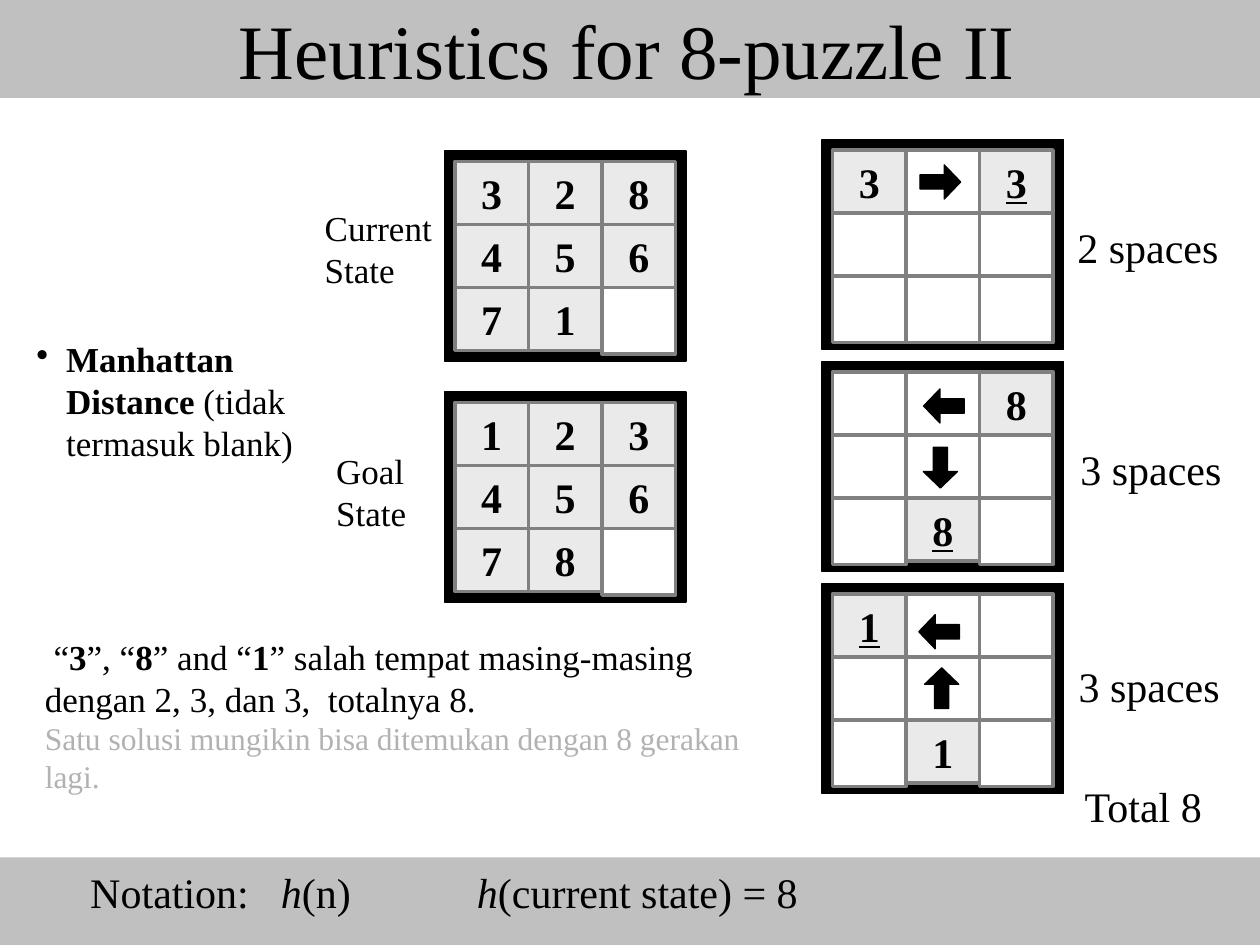
from lxml import etree
from pptx import Presentation
from pptx import util as u
from pptx.dml.color import RGBColor
from pptx.enum import shapes, text
from pptx.oxml import ns

BLACK = RGBColor(0x00, 0x00, 0x00)
WHITE = RGBColor(0xFF, 0xFF, 0xFF)
BAND_GREY = RGBColor(0xC0, 0xC0, 0xC0)
TILE_GREY = RGBColor(0xEA, 0xEA, 0xEA)
EDGE_GREY = RGBColor(0x80, 0x80, 0x80)
FADED_GREY = RGBColor(0xB2, 0xB2, 0xB2)

FONT = "Times New Roman"
BOARD_WIDTH, BOARD_HEIGHT, BOARD_RIM = 138, 120, 6
TILE_WIDTH, TILE_HEIGHT, BLANK_HEIGHT = 42, 36, 38


def add_filled(parent, kind, box, fill, edge=None, edge_width=0.75):
    shape = parent.add_shape(kind, *map(u.Pt, box))
    shape.shadow.inherit = False
    shape.fill.solid()
    shape.fill.fore_color.rgb = fill
    if edge is None:
        shape.line.fill.background()
    else:
        shape.line.color.rgb = edge
        shape.line.width = u.Pt(edge_width)
    return shape


def style_paragraph(paragraph, size, color=BLACK):
    font = paragraph.font
    font.name, font.size = FONT, u.Pt(size)
    font.color.rgb = color


def add_runs(paragraph, runs):
    for words, style in runs:
        run = paragraph.add_run()
        run.text = words
        if style == "bold":
            run.font.bold = True
        elif style == "italic":
            run.font.italic = True


def add_text(slide, box, runs, size, wrap=True):
    label = slide.shapes.add_textbox(*map(u.Pt, box))
    frame = label.text_frame
    frame.word_wrap = wrap
    frame.auto_size = text.MSO_AUTO_SIZE.SHAPE_TO_FIT_TEXT
    paragraph = frame.paragraphs[0]
    style_paragraph(paragraph, size)
    add_runs(paragraph, runs)
    return frame


def set_bullet(paragraph, indent):
    properties = paragraph._p.get_or_add_pPr()
    properties.set("marL", str(u.Pt(indent)))
    properties.set("indent", str(-u.Pt(indent)))
    bullet = etree.Element(ns.qn("a:buChar"), char="•")
    properties.insert(0, bullet)


def set_tabs(paragraph, stops):
    tab_list = etree.Element(ns.qn("a:tabLst"))
    for stop in stops:
        etree.SubElement(tab_list, ns.qn("a:tab"), pos=str(u.Pt(stop)), algn="l")
    paragraph._p.get_or_add_pPr().insert(0, tab_list)


def add_tile(parent, left, top, digit, underlined):
    tile = add_filled(parent, shapes.MSO_SHAPE.RECTANGLE,
                      (left, top, TILE_WIDTH, TILE_HEIGHT), TILE_GREY, EDGE_GREY, 2)
    paragraph = tile.text_frame.paragraphs[0]
    paragraph.alignment = text.PP_ALIGN.CENTER
    style_paragraph(paragraph, 24)
    paragraph.font.bold = True
    if underlined:
        paragraph.font.underline = True
    paragraph.add_run().text = digit


def add_board(parent, left, top, rows, target=None):
    add_filled(parent, shapes.MSO_SHAPE.RECTANGLE,
               (left, top, BOARD_WIDTH, BOARD_HEIGHT), BLACK, BLACK)
    for row, digits in enumerate(rows):
        for column, digit in enumerate(digits):
            x = left + BOARD_RIM + column * TILE_WIDTH
            y = top + BOARD_RIM + row * TILE_HEIGHT
            if digit == " ":
                add_filled(parent, shapes.MSO_SHAPE.RECTANGLE,
                           (x, y, TILE_WIDTH, BLANK_HEIGHT), WHITE, EDGE_GREY, 2)
            else:
                add_tile(parent, x, y, digit, (row, column) == target)


def add_move(slide, left, top, rotation):
    arrow = add_filled(slide.shapes, shapes.MSO_SHAPE.RIGHT_ARROW,
                       (left, top, 23.25, 19.5), BLACK, BLACK)
    arrow.adjustments[0] = 0.42
    arrow.adjustments[1] = 0.48
    arrow.rotation = rotation


def main():
    deck = Presentation()
    deck.slide_width, deck.slide_height = u.Pt(720), u.Pt(540)
    slide = deck.slides.add_slide(deck.slide_layouts[6])

    add_filled(slide.shapes, shapes.MSO_SHAPE.RECTANGLE, (0, 0, 720, 56), BAND_GREY)
    title = add_text(slide, (52.5, -16.5, 612, 89),
                     [("Heuristics for 8-puzzle II", "")], 44)
    title.auto_size = text.MSO_AUTO_SIZE.NONE
    title.vertical_anchor = text.MSO_ANCHOR.MIDDLE
    title.paragraphs[0].alignment = text.PP_ALIGN.CENTER

    distance = add_text(slide, (13.75, 189.5, 166, 79),
                        [("Manhattan Distance", "bold"), (" (tidak termasuk blank)", "")], 20)
    set_bullet(distance.paragraphs[0], 17)

    summary = add_text(slide, (18.5, 359.5, 436, 98.5), [
        (" “", ""), ("3", "bold"), ("”, “", ""), ("8", "bold"), ("” and “", ""),
        ("1", "bold"),
        ("” salah tempat masing-masing dengan 2, 3, dan 3,  totalnya 8.", "")], 20)
    solution = summary.add_paragraph()
    style_paragraph(solution, 18, FADED_GREY)
    add_runs(solution, [("Satu solusi mungikin bisa ditemukan dengan 8 gerakan lagi.", "")])

    for top, rows in ((86.25, ("328", "456", "71 ")), (224, ("123", "456", "78 "))):
        add_board(slide.shapes.add_group_shape().shapes, 254, top, rows)
    add_text(slide, (185, 253.5, 83.5, 55), [("Goal State", "")], 20)
    add_text(slide, (178.5, 114.5, 93.5, 55), [("Current State", "")], 20)

    moved_boards = (
        (("3 3", "   ", "   "), (0, 2)),
        (("  8", "   ", " 8 "), (2, 1)),
        (("1  ", "   ", " 1 "), (0, 0)),
    )
    for index, (rows, target) in enumerate(moved_boards):
        add_board(slide.shapes, 469.75, 79.75 + index * 126.8, rows, target)

    for move in ((525.75, 94.25, 0), (526.5, 383.5, 270), (525, 351.25, 180),
                 (525.75, 257.5, 90), (527.75, 222.25, 180)):
        add_move(slide, *move)

    for left, top, width, count in ((608.5, 123, 95, "2 spaces"), (610.25, 250, 95, "3 spaces"),
                                    (609.25, 374, 95, "3 spaces"), (612.75, 442.5, 83, "Total 8")):
        add_text(slide, (left, top, width, 36), [(count, "")], 24, wrap=False)

    add_filled(slide.shapes, shapes.MSO_SHAPE.RECTANGLE, (0, 490, 720, 50), BAND_GREY)
    notation = add_text(slide, (44.5, 491.75, 424, 36), [
        ("Notation:\t", ""), ("h", "italic"), ("(n)\t", ""),
        ("h", "italic"), ("(current state) = 8", "")], 24, wrap=False)
    set_tabs(notation.paragraphs[0], (109, 221))

    deck.save("out.pptx")


if __name__ == "__main__":
    main()
